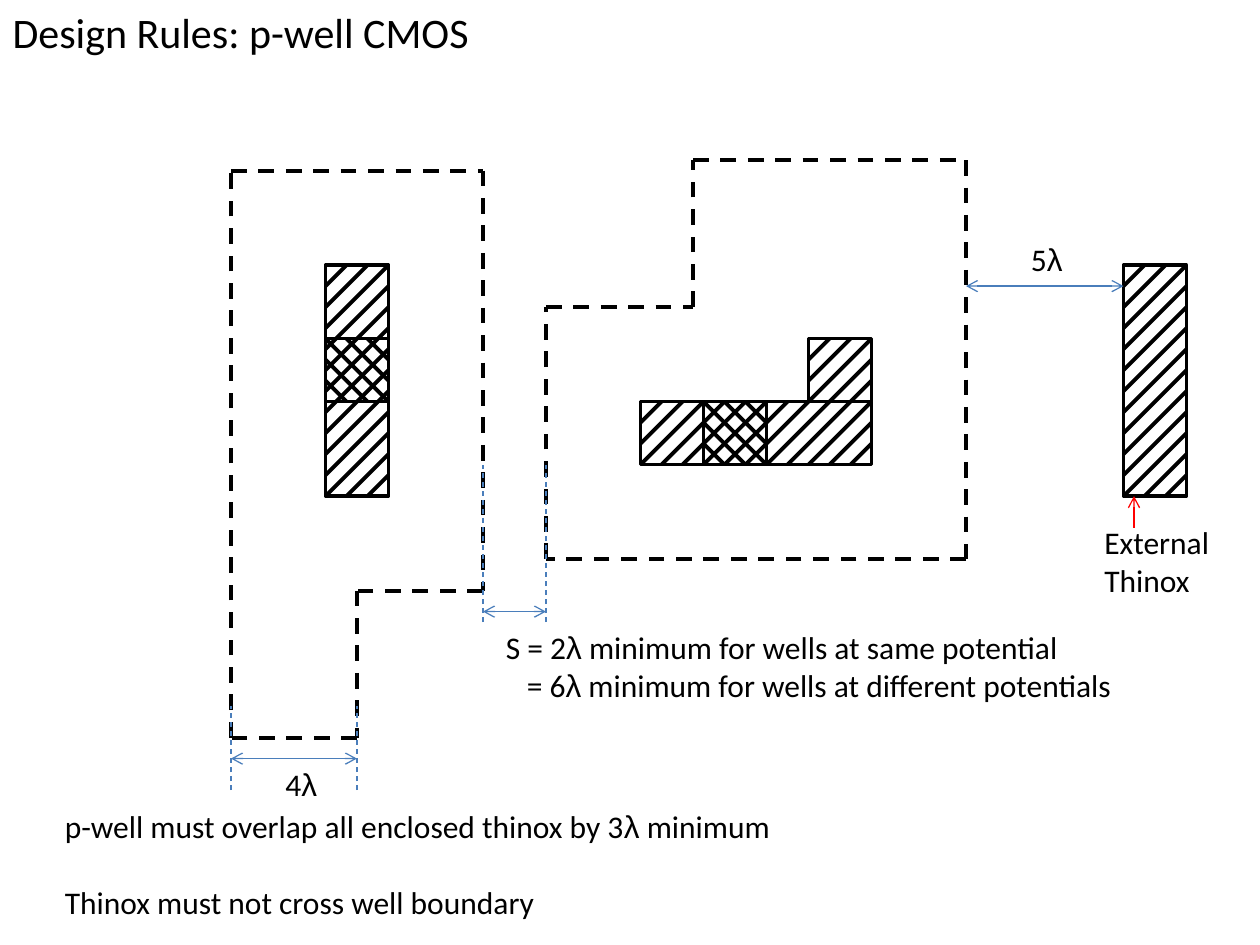
from itertools import pairwise
from typing import NamedTuple

from lxml import etree
from pptx import Presentation
from pptx.dml.color import RGBColor
from pptx.enum.dml import MSO_LINE
from pptx.enum.shapes import MSO_CONNECTOR, MSO_SHAPE
from pptx.enum.text import MSO_ANCHOR, MSO_AUTO_SIZE, PP_ALIGN
from pptx.oxml.ns import qn
from pptx.util import Cm, Pt

BLACK = RGBColor(0x00, 0x00, 0x00)
BLUE = RGBColor(0x4A, 0x7E, 0xBB)
RED = RGBColor(0xFF, 0x00, 0x00)

GRID = Cm(2.54) / 12  # one lambda is three grid units
TOP = 0.25  # the drawing sits a quarter unit below the grid
HATCH_STEP = 2


class Point(NamedTuple):
    x: float
    y: float


class Box(NamedTuple):
    x: float
    y: float
    w: float
    h: float


class Hatch(NamedTuple):
    box: Box
    mirrored: bool = False


class Dimension(NamedTuple):
    start: Point
    end: Point
    color: RGBColor = BLUE
    head: bool = True


class Line(NamedTuple):
    text: str
    indent: float = 0
    before: float = 0


class Label(NamedTuple):
    box: Box
    lines: list[Line]


WELLS = [
    [Point(22, 16), Point(46, 16), Point(46, 56), Point(34, 56),
     Point(34, 70), Point(22, 70), Point(22, 16)],
    [Point(92, 53), Point(52, 53), Point(52, 29), Point(66, 29),
     Point(66, 15), Point(92, 15), Point(92, 53)],
]
HATCHES = [
    Hatch(Box(31, 25, 6, 22)),
    Hatch(Box(31, 32, 6, 6), mirrored=True),
    Hatch(Box(61, 38, 22, 6)),
    Hatch(Box(67, 38, 6, 6), mirrored=True),
    Hatch(Box(77, 32, 6, 6)),
    Hatch(Box(107, 25, 6, 22)),
]
GUIDES = [
    (Point(22, 75), Point(22, 67)),
    (Point(34, 75), Point(34, 67)),
    (Point(46, 59), Point(46, 44)),
    (Point(52, 59), Point(52, 44)),
]
DIMENSIONS = [
    Dimension(Point(22, 72), Point(34, 72)),
    Dimension(Point(46, 58), Point(52, 58)),
    Dimension(Point(92, 27), Point(107, 27)),
    Dimension(Point(108, 50), Point(108, 47), RED, head=False),
]
LABELS = [
    Label(Box(5, 76, 71, 12), [
        Line("p-well must overlap all enclosed thinox by 3λ minimum"),
        Line("Thinox must not cross well boundary", before=22)]),
    Label(Box(26, 72, 6, 4.85), [Line("4λ")]),
    Label(Box(47, 59, 61, 8.5), [
        Line("S = 2λ minimum for wells at same potential"),
        Line("= 6λ minimum for wells at different potentials", indent=2)]),
    Label(Box(104, 49, 13, 8.5), [Line("External Thinox")]),
    Label(Box(97, 22, 6, 4.85), [Line("5λ")]),
]


def units(value: float) -> int:
    return round(value * GRID)


def place(box: Box) -> tuple[int, ...]:
    return units(box.x), units(box.y + TOP), units(box.w), units(box.h)


def add_line(shapes, start: Point, end: Point, color: RGBColor = BLACK,
             width: float = 2.25, dashed: bool = False,
             head: bool = False, tail: bool = False) -> None:
    c = shapes.add_connector(MSO_CONNECTOR.STRAIGHT,
                             units(start.x), units(start.y + TOP),
                             units(end.x), units(end.y + TOP))
    c.line.color.rgb = color
    c.line.width = Pt(width)
    if dashed:
        c.line.dash_style = MSO_LINE.DASH
    ln = c.line._get_or_add_ln()
    for tag, wanted in (("a:headEnd", head), ("a:tailEnd", tail)):
        if wanted:
            etree.SubElement(ln, qn(tag), type="arrow")
    etree.SubElement(c._element.spPr, qn("a:effectLst"))


def add_hatch(shapes, hatch: Hatch) -> None:
    """Draw a rectangle filled with 45 degree lines, as one group."""
    x, y, w, h = hatch.box
    group = shapes.add_group_shape().shapes
    rect = group.add_shape(MSO_SHAPE.RECTANGLE, *place(hatch.box))
    rect.shadow.inherit = False
    rect.fill.background()
    rect.line.color.rgb = BLACK
    rect.line.width = Pt(2)
    for d in range(HATCH_STEP, w + h, HATCH_STEP):
        left, right = max(0, d - h), min(d, w)
        if hatch.mirrored:
            left, right = w - left, w - right
        add_line(group, Point(x + left, y + min(d, h)),
                 Point(x + right, y + max(0, d - w)))


def add_run(p, text: str, size: float, font: str = "Calibri") -> None:
    r = p.add_run()
    r.text = text
    r.font.name = font
    r.font.size = Pt(size)
    r.font.color.rgb = BLACK


def add_label(shapes, label: Label) -> None:
    tf = shapes.add_textbox(*place(label.box)).text_frame
    tf.word_wrap = True
    for i, line in enumerate(label.lines):
        p = tf.add_paragraph() if i else tf.paragraphs[0]
        if line.indent:
            p._p.get_or_add_pPr().set("marL", str(units(line.indent)))
        if line.before:
            p.space_before = Pt(line.before)
        before, symbol, after = line.text.partition("λ")
        add_run(p, before, 18)
        if symbol:
            add_run(p, symbol, 18, "Arial")
        if after:
            add_run(p, after, 18)


def set_title(title, text: str) -> None:
    title.left, title.top, title.width, title.height = 0, 0, units(56), units(6)
    tf = title.text_frame
    tf.auto_size = MSO_AUTO_SIZE.NONE
    tf.vertical_anchor = MSO_ANCHOR.TOP
    p = tf.paragraphs[0]
    p.alignment = PP_ALIGN.LEFT
    add_run(p, text, 24)


def main() -> None:
    prs = Presentation()
    prs.slide_width, prs.slide_height = Cm(25.4), Cm(19.05)
    s = prs.slides.add_slide(prs.slide_layouts[5])
    set_title(s.shapes.title, "Design Rules: p-well CMOS")
    for well in WELLS:
        for start, end in pairwise(well):
            add_line(s.shapes, start, end, dashed=True)
    for hatch in HATCHES:
        add_hatch(s.shapes, hatch)
    for start, end in GUIDES:
        add_line(s.shapes, start, end, BLUE, 0.75, dashed=True)
    for dim in DIMENSIONS:
        add_line(s.shapes, dim.start, dim.end, dim.color, 0.75,
                 head=dim.head, tail=True)
    for label in LABELS:
        add_label(s.shapes, label)
    prs.save("out.pptx")


if __name__ == "__main__":
    main()
